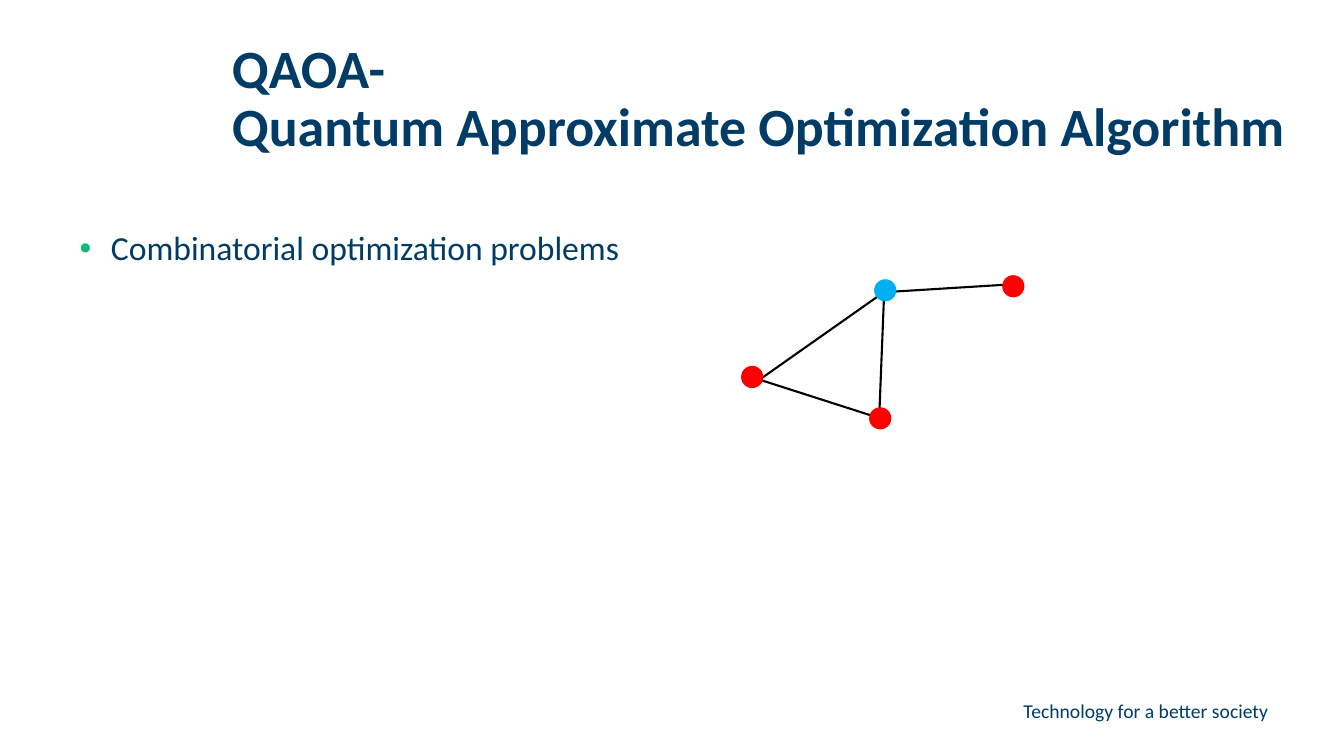
from lxml.etree import SubElement
from pptx import Presentation
from pptx.dml.color import RGBColor
from pptx.enum.shapes import MSO_CONNECTOR, MSO_SHAPE
from pptx.enum.text import MSO_ANCHOR, PP_ALIGN
from pptx.oxml.ns import qn
from pptx.util import Pt

PX = 9144  # EMU per px, 100 px to the inch
COLORS = {
    "navy": "003C65",
    "green": "14B978",
    "black": "000000",
    "blue": "00B0F0",
    "red": "FF0000",
}
NODE_SIZE = 22
BULLET_INDENT = 31


def px(*lengths):
    return [length * PX for length in lengths]


def rgb(name):
    return RGBColor.from_string(COLORS[name])


def apply_format(target, values):
    for name, value in values.items():
        setattr(target, name, value)


def add_text(slide, box, text, font, paragraph_format, anchor=MSO_ANCHOR.TOP):
    frame = slide.shapes.add_textbox(*px(*box)).text_frame
    apply_format(frame, {
        "word_wrap": True, "vertical_anchor": anchor,
        "margin_left": 0, "margin_right": 0, "margin_top": 0, "margin_bottom": 0,
    })
    paragraph = frame.paragraphs[0]
    paragraph.text = text
    apply_format(paragraph, paragraph_format)
    for run in paragraph.runs:
        apply_format(run.font, {"name": "Calibri", **font})
        run.font.color.rgb = rgb("navy")
    return paragraph


def add_bullet(paragraph):
    properties = paragraph._p.get_or_add_pPr()
    indent, = px(BULLET_INDENT)
    properties.set("marL", str(indent))
    properties.set("indent", str(-indent))
    bullet_color = SubElement(properties, qn("a:buClr"))
    SubElement(bullet_color, qn("a:srgbClr"), val=COLORS["green"])
    SubElement(properties, qn("a:buFont"), typeface="Arial")
    SubElement(properties, qn("a:buChar"), char="•")


def add_edge(slide, start, end):
    edge = slide.shapes.add_connector(MSO_CONNECTOR.STRAIGHT, *px(*start, *end))
    edge.line.color.rgb = rgb("black")
    edge.line.width = Pt(1.5)
    SubElement(edge._element.spPr, qn("a:effectLst"))


def add_node(slide, left, top, color):
    node = slide.shapes.add_shape(
        MSO_SHAPE.OVAL, *px(left, top, NODE_SIZE, NODE_SIZE))
    node.shadow.inherit = False
    node.fill.solid()
    node.fill.fore_color.rgb = rgb(color)
    node.line.fill.background()


def main():
    deck = Presentation()
    deck.slide_width, deck.slide_height = px(1333, 750)
    slide = deck.slides.add_slide(deck.slide_layouts[6])

    # Title
    add_text(slide, (230, 42, 1094, 115),
             "QAOA-\vQuantum Approximate Optimization Algorithm",
             {"size": Pt(38.5), "bold": True}, {"line_spacing": 0.9},
             MSO_ANCHOR.BOTTOM)

    # Topic
    topic = add_text(slide, (79, 230, 1176, 428),
                     "Combinatorial optimization problems", {"size": Pt(24)},
                     {"line_spacing": 0.9, "space_before": Pt(10)})
    add_bullet(topic)

    # Footer
    add_text(slide, (877, 695, 381, 21), "Technology for a better society",
             {"size": Pt(14)}, {"alignment": PP_ALIGN.RIGHT}, MSO_ANCHOR.MIDDLE)

    # Graph: edges behind, nodes in front
    edges = [
        ((875, 290), (1005, 282)),
        ((742, 373), (876, 416)),
        ((750, 379), (875, 291)),
        ((872, 415), (877, 289)),
    ]
    for start, end in edges:
        add_edge(slide, start, end)
    nodes = [
        (867, 277, "blue"),
        (994, 273, "red"),
        (862, 404, "red"),
        (735, 363, "red"),
    ]
    for left, top, color in nodes:
        add_node(slide, left, top, color)

    deck.save("out.pptx")


if __name__ == "__main__":
    main()
